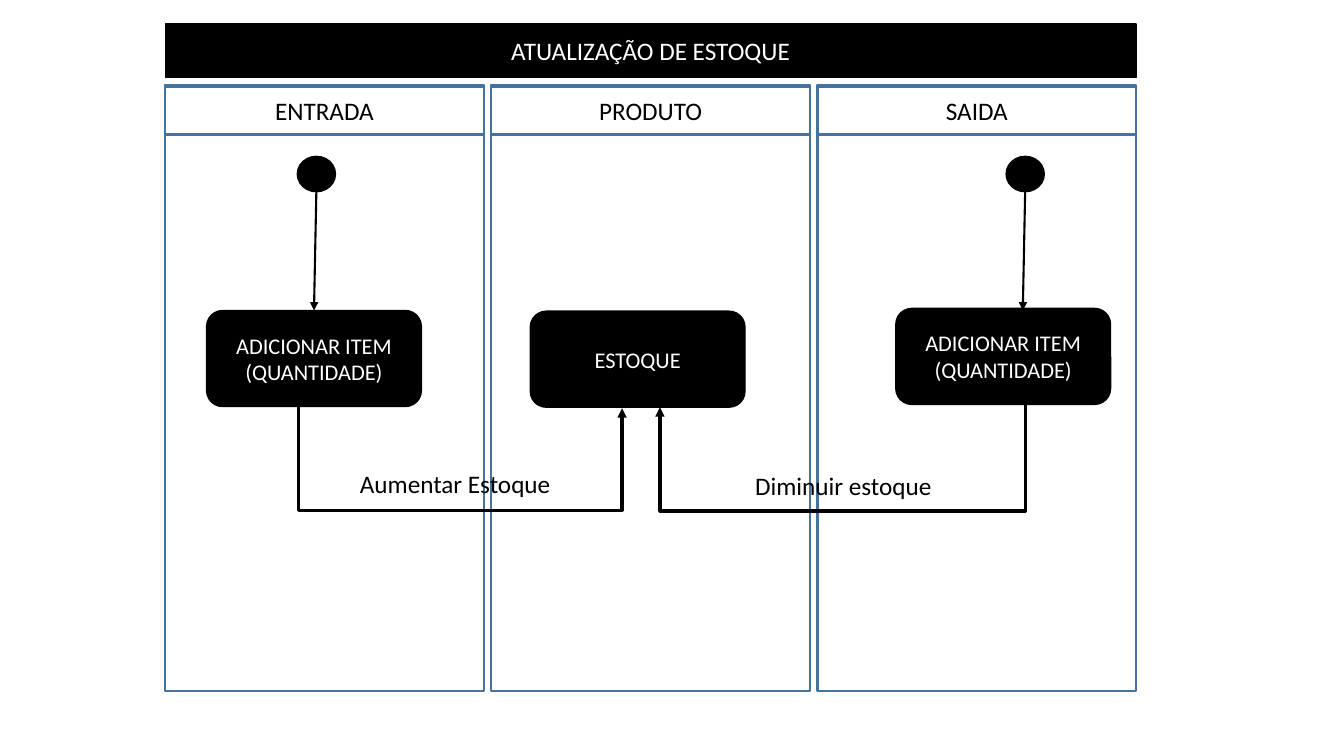
"""Build a swimlane diagram of the stock update process."""
from lxml.etree import SubElement
from pptx import Presentation
from pptx.dml.color import RGBColor
from pptx.enum.shapes import MSO_CONNECTOR, MSO_SHAPE
from pptx.enum.text import MSO_ANCHOR, MSO_AUTO_SIZE, PP_ALIGN
from pptx.oxml.ns import qn
from pptx.util import Pt

BLACK = RGBColor(0x00, 0x00, 0x00)
WHITE = RGBColor(0xFF, 0xFF, 0xFF)
LANE_BLUE = RGBColor(0x43, 0x73, 0x9E)

LANE_LEFT, LANE_PITCH, LANE_WIDTH = 118, 233, 227.5


def write(box, text, size=18, color=BLACK, align=PP_ALIGN.CENTER, anchor=MSO_ANCHOR.MIDDLE):
    frame = box.text_frame
    frame.word_wrap = True
    frame.auto_size = MSO_AUTO_SIZE.NONE
    frame.vertical_anchor = anchor
    paragraph = frame.paragraphs[0]
    paragraph.alignment = align
    run = paragraph.add_run()
    run.text = text
    run.font.name = "Calibri"
    run.font.size = Pt(size)
    run.font.color.rgb = color


def add_arrow(kind, x1, y1, x2, y2, weight):
    arrow = slide.shapes.add_connector(kind, Pt(x1), Pt(y1), Pt(x2), Pt(y2))
    arrow.line.color.rgb = BLACK
    arrow.line.width = Pt(weight)
    properties = arrow.element.spPr
    SubElement(properties.find(qn("a:ln")), qn("a:tailEnd"), type="triangle")
    SubElement(properties, qn("a:effectLst"))
    return properties


deck = Presentation()
deck.slide_width, deck.slide_height = Pt(960), Pt(540)
slide = deck.slides.add_slide(deck.slide_layouts[5])

process = slide.shapes.title
process.left, process.top, process.width, process.height = Pt(LANE_LEFT), Pt(17), Pt(693.5), Pt(38.5)
process.fill.solid()
process.fill.fore_color.rgb = BLACK
process.line.color.rgb = BLACK
process.line.width = Pt(1)
write(process, "ATUALIZAÇÃO DE ESTOQUE", color=WHITE)

for column, actor in enumerate(["ENTRADA", "PRODUTO", "SAIDA"]):
    left = LANE_LEFT + column * LANE_PITCH
    for top, height, label in [(60.8, 432.7, ""), (61.8, 34.3, actor)]:
        lane = slide.shapes.add_shape(MSO_SHAPE.RECTANGLE, Pt(left), Pt(top), Pt(LANE_WIDTH), Pt(height))
        lane.shadow.inherit = False
        lane.fill.background()
        lane.line.color.rgb = LANE_BLUE
        lane.line.width = Pt(1.5)
        if label:
            write(lane, label)

nodes = [
    (MSO_SHAPE.OVAL, 213, 112.3, 26, 24, 2.25, ""),
    (MSO_SHAPE.OVAL, 719.3, 112.3, 26, 24, 2.25, ""),
    (MSO_SHAPE.ROUNDED_RECTANGLE, 147.6, 221.8, 153.4, 68.6, 1, "ADICIONAR ITEM (QUANTIDADE)"),
    (MSO_SHAPE.ROUNDED_RECTANGLE, 378.8, 222.3, 153.4, 68.6, 1, "ESTOQUE"),
    (MSO_SHAPE.ROUNDED_RECTANGLE, 639.9, 220.3, 153.4, 68.6, 1, "ADICIONAR ITEM (QUANTIDADE)"),
]
for outline, left, top, width, height, weight, action in nodes:
    node = slide.shapes.add_shape(outline, Pt(left), Pt(top), Pt(width), Pt(height))
    node.shadow.inherit = False
    node.fill.solid()
    node.fill.fore_color.rgb = BLACK
    node.line.color.rgb = BLACK
    node.line.width = Pt(weight)
    if action:
        write(node, action, size=16, color=WHITE)

for start_x in (226, 732.3):
    add_arrow(MSO_CONNECTOR.STRAIGHT, start_x, 136.3, start_x - 1.7, 221.8, 1.5)

flows = [
    (213.3, 444.3, 290.6, 1, 74.4, {"rot": "16200000", "flipH": "1"}),
    (732.3, 471.4, 288.9, 2, 75.6, {"rot": "5400000"}),
]
for start_x, end_x, start_y, rise, drop, turn in flows:
    span = abs(end_x - start_x)
    left = (start_x + end_x - rise) / 2
    top = start_y + (rise - span) / 2
    flow = add_arrow(MSO_CONNECTOR.ELBOW, left, top, left + rise, top + span, 2.25)
    for key, value in turn.items():
        flow.find(qn("a:xfrm")).set(key, value)
    adjustments = flow.find(qn("a:prstGeom")).find(qn("a:avLst"))
    SubElement(adjustments, qn("a:gd"), name="adj1", fmla=f"val {round(drop / rise * 100000)}")

for left, top, effect in [(250, 331, "Aumentar Estoque"), (532.3, 332.2, "Diminuir estoque")]:
    caption = slide.shapes.add_textbox(Pt(left), Pt(top), Pt(158.4), Pt(29))
    write(caption, effect, align=PP_ALIGN.LEFT, anchor=MSO_ANCHOR.TOP)

deck.save("out.pptx")
